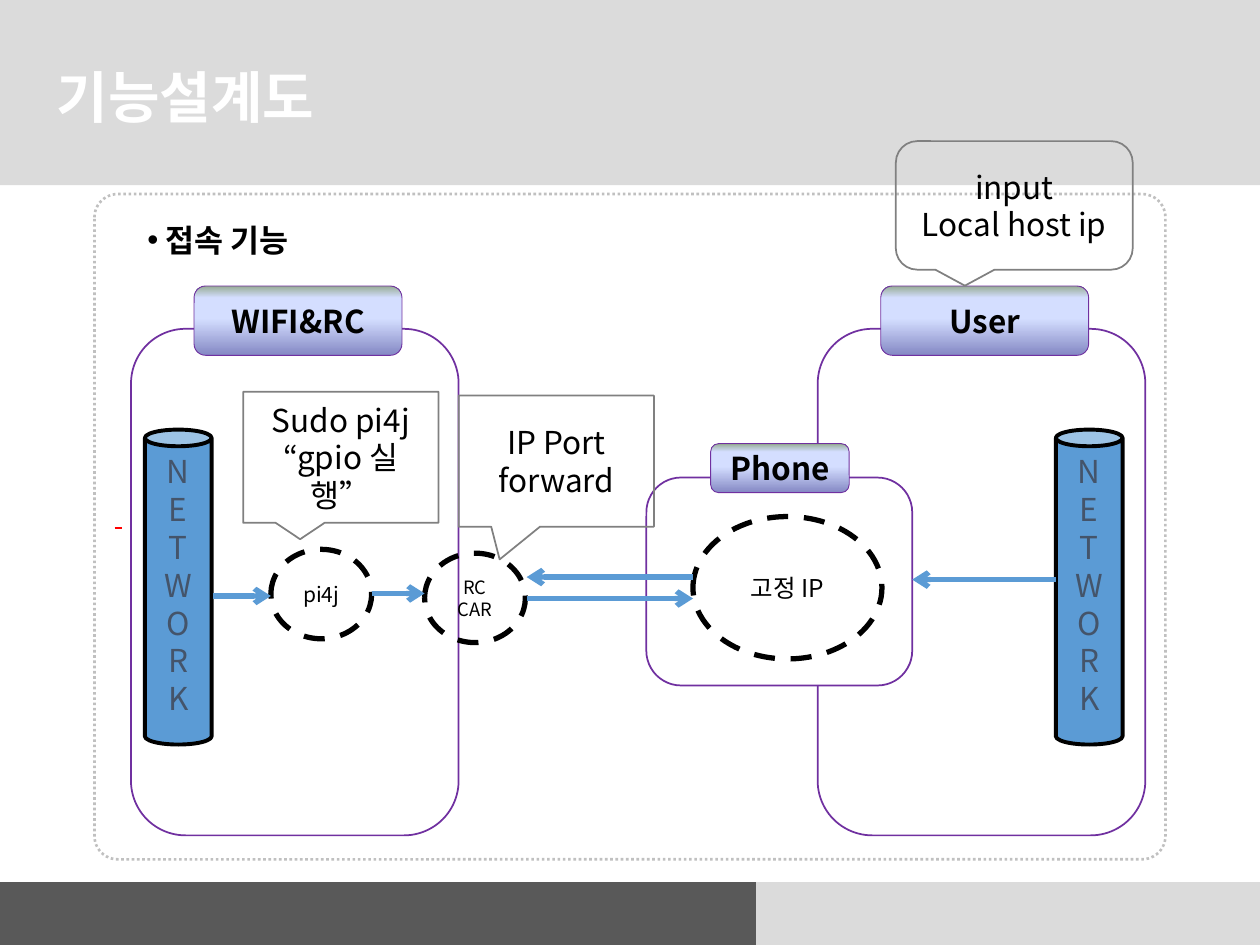
from dataclasses import dataclass

from lxml.etree import SubElement as Sub
from pptx import Presentation
from pptx.dml.color import RGBColor as RGB
from pptx.enum.dml import MSO_LINE as Dash
from pptx.enum.shapes import MSO_CONNECTOR as Link, MSO_SHAPE as Kind
from pptx.enum.text import MSO_ANCHOR as Anchor, MSO_AUTO_SIZE as Fit, PP_ALIGN as Align
from pptx.oxml.ns import qn
from pptx.util import Inches, Pt

FONT = "Noto Sans CJK KR"
HUE = {
    "light": "DBDBDB", "dark": "595959", "white": "FFFFFF", "black": "000000",
    "dots": "C0C0C0", "grey": "808080", "violet": "7030A0", "blue": "5B9BD5",
    "slate": "44546A", "red": "FF0000",
}
GLOSS = [(0, "8488C4"), (53, "D4DEFF"), (83, "D4DEFF"), (100, "96AB94")]


@dataclass
class Group:
    """A rounded frame and the tab that names it."""
    name: str
    frame: tuple
    tab: tuple


@dataclass
class Node:
    text: str
    box: tuple
    size: float


@dataclass
class Note:
    text: str
    box: tuple
    kind: Kind = Kind.RECTANGULAR_CALLOUT
    tip: tuple = ()


@dataclass
class Arrow:
    start: tuple
    end: tuple


def write(shape, text: str, *, size: float = 18, hue: str = "black", bold: bool = False,
          font: str = FONT, align=Align.CENTER, anchor=Anchor.MIDDLE, wrap: bool = True) -> None:
    frame = shape.text_frame
    frame.text = text
    frame.auto_size = Fit.NONE
    frame.word_wrap = wrap
    frame.vertical_anchor = anchor
    for para in frame.paragraphs:
        para.alignment = align
        para.space_before = Pt(0)
        for run in para.runs:
            run.font.name = font
            run.font.size = Pt(size)
            run.font.bold = bold
            run.font.color.rgb = RGB.from_string(HUE[hue])
            Sub(run.font._element, qn("a:ea"), typeface=FONT)


def paint(shape, fill: str = "", line: str = "", width: float = 1, dash=None) -> None:
    shape.shadow.inherit = False
    if fill:
        shape.fill.solid()
        shape.fill.fore_color.rgb = RGB.from_string(HUE[fill])
    else:
        shape.fill.background()
    if line:
        shape.line.color.rgb = RGB.from_string(HUE[line])
        shape.line.width = Pt(width)
        if dash:
            shape.line.dash_style = dash
    else:
        shape.line.fill.background()


def put(slide, kind: Kind, box: tuple, **look):
    shape = slide.shapes.add_shape(kind, *map(Inches, box))
    paint(shape, **look)
    return shape


def band(slide, points: list, fill: str) -> None:
    pen = slide.shapes.build_freeform(*points[0], scale=Inches(1))
    pen.add_line_segments(points[1:])
    paint(pen.convert_to_shape(), fill=fill)


def shine(shape) -> None:
    """Fill with the glossy gradient, running from bottom to top."""
    shape.fill.gradient()
    shape.fill.gradient_angle = 90
    stops = shape._element.spPr.find(".//" + qn("a:gsLst"))
    for old in list(stops):
        stops.remove(old)
    for pos, hue in GLOSS:
        stop = Sub(stops, qn("a:gs"), pos=str(pos * 1000))
        Sub(stop, qn("a:srgbClr"), val=hue)


def draw_group(slide, group: Group) -> None:
    put(slide, Kind.ROUNDED_RECTANGLE, group.frame, fill="white", line="violet")
    tab = put(slide, Kind.ROUNDED_RECTANGLE, group.tab, line="violet", width=0.5)
    shine(tab)
    write(tab, group.name, bold=True)


def draw_can(slide, left: float) -> None:
    can = put(slide, Kind.CAN, (left, 3.41, 0.53, 2.5), fill="blue", line="black", width=2.25)
    write(can, "\n".join("NETWORK"), hue="slate", anchor=Anchor.TOP)


def draw_node(slide, node: Node) -> None:
    oval = put(slide, Kind.OVAL, node.box, line="black", width=3, dash=Dash.DASH)
    write(oval, node.text, size=node.size)


def draw_note(slide, note: Note) -> None:
    shape = put(slide, note.kind, note.box, line="grey")
    for i, value in enumerate(note.tip):
        shape.adjustments[i] = value
    write(shape, note.text)


def draw_line(slide, start: tuple, end: tuple, hue: str, width: float):
    line = slide.shapes.add_connector(Link.STRAIGHT, *map(Inches, start + end))
    line.line.color.rgb = RGB.from_string(HUE[hue])
    line.line.width = Pt(width)
    Sub(line._element.spPr, qn("a:effectLst"))
    return line


def draw_arrow(slide, arrow: Arrow) -> None:
    line = draw_line(slide, arrow.start, arrow.end, "blue", 3)
    Sub(line.line._get_or_add_ln(), qn("a:tailEnd"), type="arrow")


def place(shape, box: tuple) -> None:
    """Move a placeholder into its box and in front of what is drawn so far."""
    shape.left, shape.top, shape.width, shape.height = map(Inches, box)
    shape.element.getparent().append(shape.element)


GROUPS = [
    Group("WIFI&RC", (1.04, 2.61, 2.6, 4.02), (1.54, 2.27, 1.65, 0.55)),
    Group("User", (6.49, 2.61, 2.6, 4.02), (6.99, 2.27, 1.65, 0.55)),
    Group("Phone", (5.13, 3.79, 2.11, 1.65), (5.64, 3.52, 1.1, 0.39)),
]
NODES = [
    Node("pi4j", (2.15, 4.36, 0.8, 0.71), 12),
    Node("RC\nCAR", (3.37, 4.39, 0.8, 0.71), 10.5),
    Node("고정 IP", (5.5, 4.1, 1.5, 1.13), 14),
]
ARROWS = [
    Arrow((1.69, 4.73), (2.15, 4.73)),
    Arrow((2.95, 4.71), (3.37, 4.71)),
    Arrow((4.18, 4.75), (5.5, 4.75)),
    Arrow((8.38, 4.6), (7.24, 4.6)),
    Arrow((5.5, 4.58), (4.18, 4.58)),
]
NOTES = [
    Note("Sudo pi4j “gpio 실행”", (1.93, 3.11, 1.55, 1.04)),
    Note("IP Port forward", (3.64, 3.14, 1.55, 1.04), tip=(-0.29, 0.75)),
    Note("input\nLocal host ip", (7.11, 1.12, 1.88, 1.02), Kind.ROUNDED_RECTANGULAR_CALLOUT),
]


def main() -> None:
    deck = Presentation()
    deck.slide_width, deck.slide_height = Inches(10), Inches(7.5)
    slide = deck.slides.add_slide(deck.slide_layouts[1])
    title, body = slide.placeholders

    put(slide, Kind.RECTANGLE, (0, 0, 10, 1.47), fill="light")
    band(slide, [(0, 6.98), (5.74, 6.98), (6.38, 7.5), (0, 7.5)], "dark")
    band(slide, [(10, 7.5), (6.27, 7.5), (5.86, 6.98), (10, 6.98)], "light")
    panel = put(slide, Kind.ROUNDED_RECTANGLE, (0.75, 1.54, 8.5, 5.28),
                line="dots", width=1.5, dash=Dash.ROUND_DOT)
    panel.adjustments[0] = 0.035

    place(title, (0.35, 0.38, 8.4, 0.77))
    write(title, "기능설계도", size=32, hue="white", bold=True, font="Montserrat", align=Align.LEFT)
    place(body, (1.07, 1.7, 1.48, 0.4))
    write(body, " 접속 기능", bold=True, align=Align.LEFT, anchor=Anchor.TOP, wrap=False)
    props = body.text_frame.paragraphs[0]._p.get_or_add_pPr()
    props.set("marL", "0")
    props.set("indent", "0")
    Sub(props, qn("a:buChar"), char="•")

    for group in GROUPS:
        draw_group(slide, group)
    for left in (1.15, 8.38):
        draw_can(slide, left)
    for node in NODES:
        draw_node(slide, node)
    for arrow in ARROWS:
        draw_arrow(slide, arrow)
    for note in NOTES:
        draw_note(slide, note)
    draw_line(slide, (0.91, 4.19), (0.97, 4.19), "red", 1.5)
    deck.save("out.pptx")


if __name__ == "__main__":
    main()
